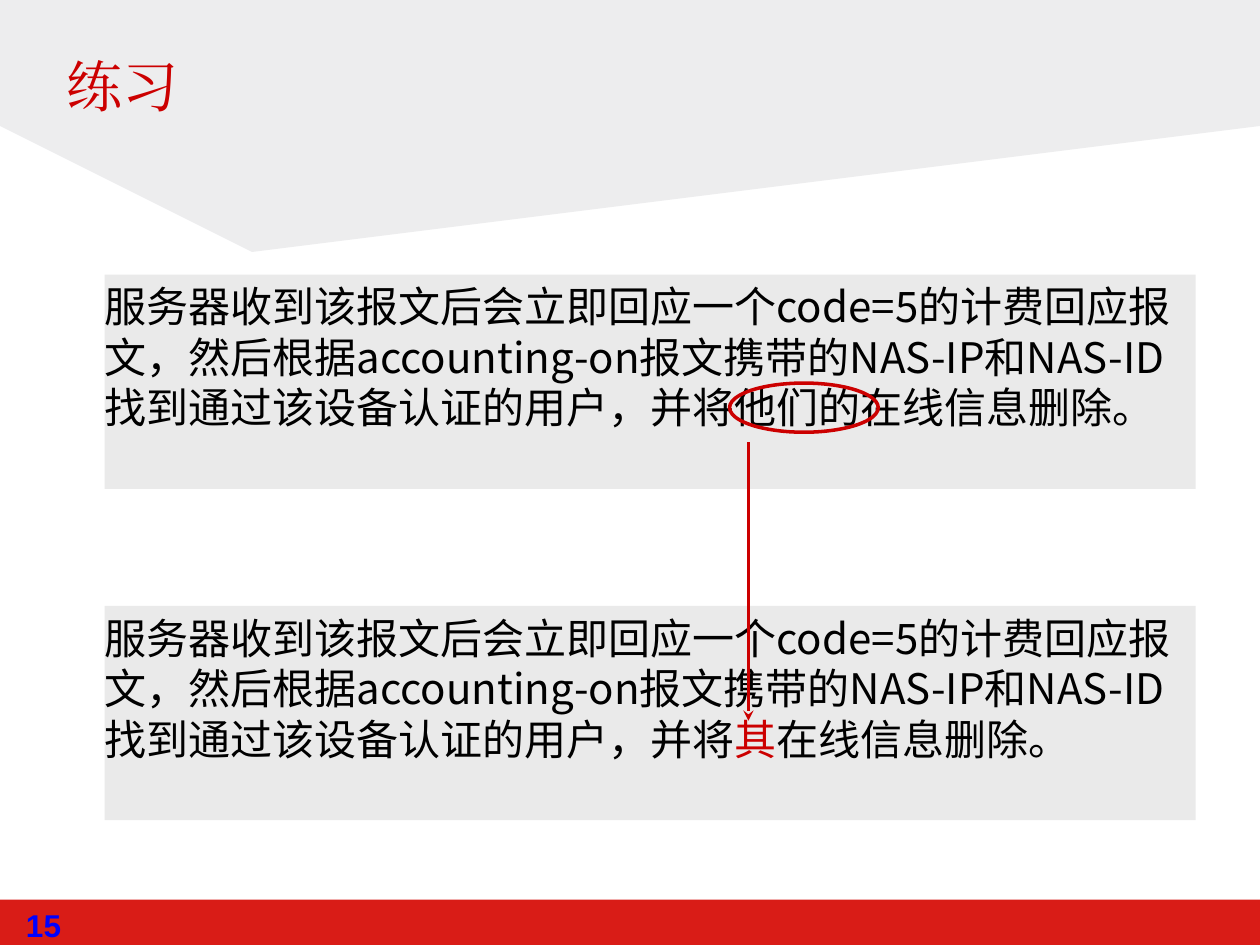
from dataclasses import dataclass

from lxml import etree
from pptx import Presentation
from pptx import util as u
from pptx.dml.color import RGBColor
from pptx.enum import shapes, text
from pptx.oxml.ns import qn

WIDTH, HEIGHT = u.Inches(10), u.Inches(7.5)
COLORS = {
    "band": "D91C17", "header": "EDEDEE", "panel": "EAEAEA",
    "accent": "CC0000", "body": "000000", "number": "0101FF",
}
BODY_FONT = "Noto Sans CJK SC"
SHARED = ("服务器收到该报文后会立即回应一个code=5的计费回应报文，"
          "然后根据accounting-on报文携带的NAS-IP和NAS-ID"
          "找到通过该设备认证的用户，并将")


@dataclass(frozen=True)
class Box:
    """Left, top, width and height as shares of the slide's size."""
    left: float
    top: float
    width: float
    height: float

    def emu(self) -> tuple[int, int, int, int]:
        return (int(self.left * WIDTH), int(self.top * HEIGHT),
                int(self.width * WIDTH), int(self.height * HEIGHT))


@dataclass(frozen=True)
class Piece:
    words: str
    color: str = "body"


@dataclass(frozen=True)
class Passage:
    top: float
    pieces: tuple[Piece, ...]


PASSAGES = (
    Passage(2.18 / 7.5, (Piece(SHARED + "他们的在线信息删除。"),)),
    Passage(4.81 / 7.5, (Piece(SHARED), Piece("其", "accent"),
                         Piece("在线信息删除。"))),
)


def rgb(name: str) -> RGBColor:
    return RGBColor.from_string(COLORS[name])


def paint(shape, fill: str) -> None:
    shape.shadow.inherit = False
    shape.fill.solid()
    shape.fill.fore_color.rgb = rgb(fill)
    shape.line.fill.background()


def add_run(paragraph, piece: Piece, size: float, face: str, bold: bool = False) -> None:
    run = paragraph.add_run()
    run.text = piece.words
    run.font.size, run.font.name, run.font.bold = u.Pt(size), face, bold
    run.font.color.rgb = rgb(piece.color)
    east_asian = etree.SubElement(run.font._element, qn("a:ea"))
    east_asian.set("typeface", face)


def add_passage(slide, passage: Passage) -> None:
    area = Box(0.083, passage.top, 0.866, 1.7 / 7.5)
    panel = slide.shapes.add_shape(shapes.MSO_SHAPE.RECTANGLE, *area.emu())
    paint(panel, "panel")
    frame = panel.text_frame
    frame.word_wrap = True
    frame.vertical_anchor = text.MSO_ANCHOR.TOP
    frame.margin_left = frame.margin_right = 0
    paragraph = frame.paragraphs[0]
    paragraph.alignment = text.PP_ALIGN.LEFT
    paragraph.line_spacing = u.Pt(28.8)
    for piece in passage.pieces:
        add_run(paragraph, piece, 24, BODY_FONT)


def add_background(slide) -> None:
    band = slide.shapes.add_shape(
        shapes.MSO_SHAPE.RECTANGLE, *Box(0, 0.952, 1, 0.048).emu())
    paint(band, "band")
    outline = slide.shapes.build_freeform(0, 0, scale=u.Inches(1))
    outline.add_line_segments([(10, 0), (9.99, 0.64), (1.92, 1.68), (0, 1.42)])
    paint(outline.convert_to_shape(), "header")


def add_title(slide) -> None:
    title = slide.shapes.title
    title.left, title.top, title.width, title.height = Box(
        0.043, 0.048, 0.757, 0.125).emu()
    frame = title.text_frame
    frame.vertical_anchor = text.MSO_ANCHOR.TOP
    frame.paragraphs[0].alignment = text.PP_ALIGN.LEFT
    add_run(frame.paragraphs[0], Piece("练习", "accent"), 32, "Times New Roman")


def add_correction_mark(slide) -> None:
    ring = slide.shapes.add_shape(
        shapes.MSO_SHAPE.OVAL, *Box(0.579, 3.04 / 7.5, 0.118, 0.052).emu())
    ring.shadow.inherit = False
    ring.fill.background()
    arrow = slide.shapes.add_connector(
        shapes.MSO_CONNECTOR.STRAIGHT, u.Inches(5.94), u.Inches(3.51),
        u.Inches(5.94), u.Inches(5.72))
    for mark, weight in ((ring, 2), (arrow, 1.5)):
        mark.line.color.rgb = rgb("accent")
        mark.line.width = u.Pt(weight)
    head = etree.SubElement(arrow.line._get_or_add_ln(), qn("a:tailEnd"))
    head.set("type", "stealth")
    etree.SubElement(arrow._element.spPr, qn("a:effectLst"))


def add_page_number(slide) -> None:
    number = slide.shapes.add_textbox(*Box(-0.036, 0.952, 0.141, 0.053).emu())
    paragraph = number.text_frame.paragraphs[0]
    paragraph.alignment = text.PP_ALIGN.CENTER
    add_run(paragraph, Piece("15", "number"), 18, "Arial", bold=True)


def main() -> None:
    deck = Presentation()
    deck.slide_width, deck.slide_height = WIDTH, HEIGHT
    slide = deck.slides.add_slide(deck.slide_layouts.get_by_name("Title Only"))

    # Backdrop, with the title moved in front of it
    add_background(slide)
    add_title(slide)
    slide.shapes._spTree.append(slide.shapes.title._element)

    # Wording before and after the correction
    for passage in PASSAGES:
        add_passage(slide, passage)
    add_correction_mark(slide)

    # Footer
    add_page_number(slide)
    deck.save("out.pptx")


if __name__ == "__main__":
    main()
